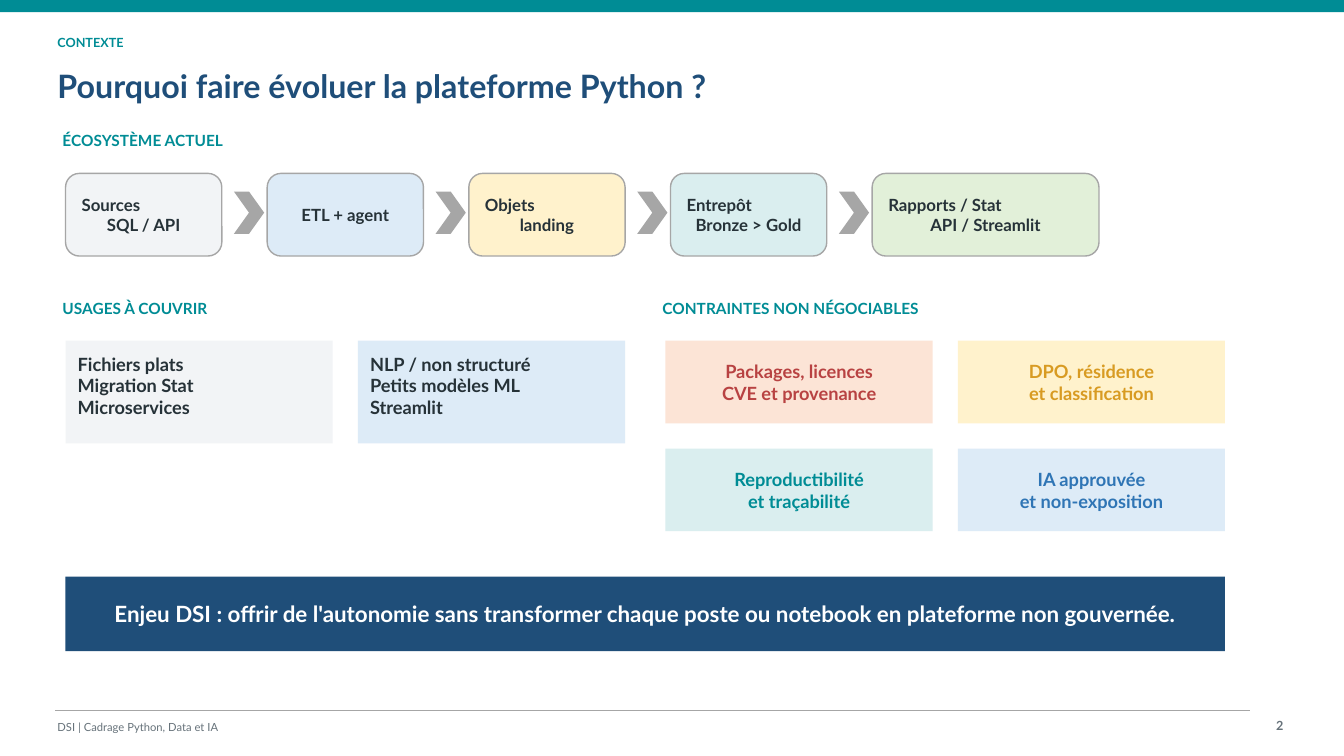
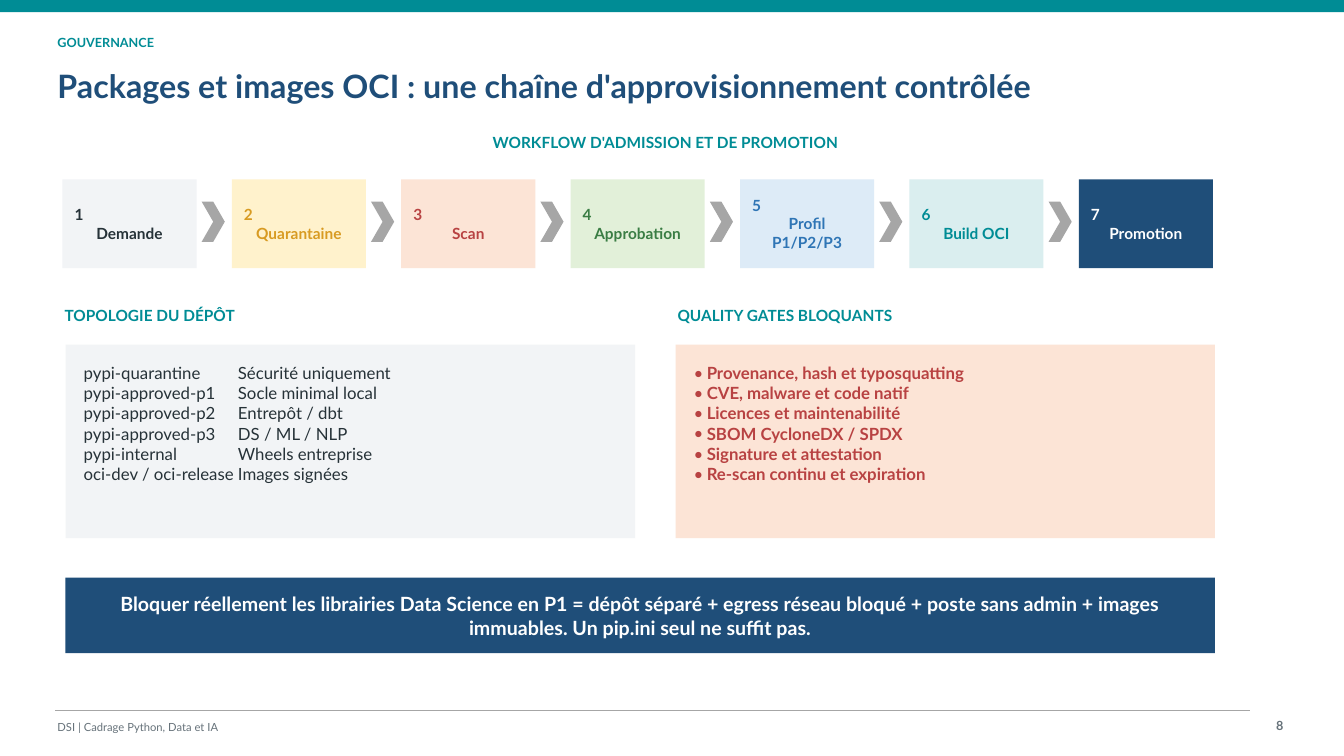
from dataclasses import dataclass
from typing import NamedTuple, Optional, Sequence

from lxml.etree import SubElement
from pptx import Presentation
from pptx.dml.color import RGBColor
from pptx.enum.shapes import MSO_CONNECTOR as Connector, MSO_SHAPE as Preset
from pptx.enum.text import MSO_ANCHOR as Anchor, MSO_AUTO_SIZE as AutoSize, PP_ALIGN as Align
from pptx.oxml.ns import qn
from pptx.slide import Slide
from pptx.text.text import TextFrame
from pptx.util import Emu, Pt

EMU_PER_PX = 9144
FONT = "Lato"
COLORS = {
    "teal": "008C95", "navy": "1F4E79", "ink": "263238", "muted": "66727A",
    "rule": "A6A6A6", "white": "FFFFFF", "red": "B84242", "amber": "D89B22",
    "green": "3A7D44", "blue": "2F75B5", "pale_gray": "F2F4F6",
    "pale_blue": "DDEBF7", "pale_yellow": "FFF2CC", "pale_teal": "DAEEEF",
    "pale_green": "E2F0D9", "pale_red": "FCE4D6",
}
TITLE_ONLY, TITLE_AND_CONTENT = 5, 1
LABEL_INSET, CARD_INSET, PANEL_INSET = 2, 12, 18


class Area(NamedTuple):
    left: int
    top: int
    width: int
    height: int


@dataclass(frozen=True)
class TextStyle:
    size: int
    color: str
    bold: bool = True
    align: Align = Align.LEFT
    anchor: Anchor = Anchor.MIDDLE
    inset: int = LABEL_INSET


@dataclass(frozen=True)
class Card:
    lines: tuple[str, ...]
    fill: str
    color: str = "ink"
    width: Optional[int] = None


@dataclass(frozen=True)
class Flow:
    first: Area
    pitch: int
    chevron: Area
    preset: Preset
    size: int
    outlined: bool = False


def px(length: int) -> Emu:
    return Emu(length * EMU_PER_PX)


def place(area: Area) -> tuple[Emu, ...]:
    return tuple(px(length) for length in area)


def rgb(color: str) -> RGBColor:
    return RGBColor.from_string(COLORS[color])


def write(frame: TextFrame, lines: Sequence[str], style: TextStyle,
          lead_left: bool = False, bulleted: bool = False, tab: int = 0) -> None:
    frame.word_wrap = True
    frame.auto_size = AutoSize.NONE
    frame.vertical_anchor = style.anchor
    frame.margin_left = frame.margin_right = px(style.inset)
    frame.margin_top = frame.margin_bottom = px(style.inset)
    for index, line in enumerate(lines):
        paragraph = frame.paragraphs[0] if index == 0 else frame.add_paragraph()
        paragraph.text = line
        paragraph.alignment = Align.LEFT if lead_left and index == 0 else style.align
        paragraph.space_before = Pt(0)
        properties = paragraph._p.get_or_add_pPr()
        if bulleted:
            properties.set("marL", str(px(13)))
            properties.set("indent", str(-px(13)))
            SubElement(properties, qn("a:buFont"), typeface=FONT)
            SubElement(properties, qn("a:buChar"), char="•")
        if tab:
            stops = SubElement(properties, qn("a:tabLst"))
            SubElement(stops, qn("a:tab"), pos=str(px(tab)), algn="l")
        paragraph.font.name = FONT
        paragraph.font.size = Pt(style.size)
        paragraph.font.bold = style.bold
        paragraph.font.color.rgb = rgb(style.color)


def add_label(slide: Slide, area: Area, text: str, style: TextStyle) -> None:
    write(slide.shapes.add_textbox(*place(area)).text_frame, [text], style)


def add_heading(slide: Slide, area: Area, text: str, align: Align = Align.LEFT) -> None:
    add_label(slide, area, text, TextStyle(11, "teal", align=align, anchor=Anchor.TOP))


def add_block(slide: Slide, area: Area, fill: str, preset: Preset = Preset.RECTANGLE,
              outlined: bool = False) -> TextFrame:
    block = slide.shapes.add_shape(preset, *place(area))
    block.shadow.inherit = False
    block.fill.solid()
    block.fill.fore_color.rgb = rgb(fill)
    if outlined:
        block.line.color.rgb = rgb("rule")
        block.line.width = Pt(1)
    else:
        block.line.fill.background()
    return block.text_frame


def add_flow(slide: Slide, flow: Flow, steps: Sequence[Card]) -> None:
    style = TextStyle(flow.size, "ink", align=Align.CENTER, inset=CARD_INSET)
    for index, step in enumerate(steps):
        shift = index * flow.pitch
        area = flow.first._replace(left=flow.first.left + shift,
                                   width=step.width or flow.first.width)
        frame = add_block(slide, area, step.fill, flow.preset, flow.outlined)
        step_style = TextStyle(style.size, step.color, align=style.align, inset=style.inset)
        write(frame, step.lines, step_style, lead_left=len(step.lines) > 1)
        if index < len(steps) - 1:
            chevron = flow.chevron._replace(left=flow.chevron.left + shift)
            add_block(slide, chevron, "rule", Preset.CHEVRON)


def add_cards(slide: Slide, first: Area, cards: Sequence[Card], align: Align,
              anchor: Anchor) -> None:
    gap, columns = 25, 2
    for index, card in enumerate(cards):
        row, column = divmod(index, columns)
        area = first._replace(left=first.left + column * (first.width + gap),
                              top=first.top + row * (first.height + gap))
        style = TextStyle(13, card.color, align=align, anchor=anchor, inset=CARD_INSET)
        write(add_block(slide, area, card.fill), card.lines, style)


def add_message(slide: Slide, area: Area, text: str, size: int) -> None:
    style = TextStyle(size, "white", align=Align.CENTER, inset=CARD_INSET)
    write(add_block(slide, area, "navy"), [text], style)


def add_page(deck: Presentation, layout: int, section: str, title: str, number: int) -> Slide:
    slide = deck.slides.add_slide(deck.slide_layouts[layout])
    add_block(slide, Area(0, 0, 1333, 12), "teal")
    add_label(slide, Area(55, 28, 220, 28), section, TextStyle(9, "teal"))
    heading = slide.shapes.title
    heading.left, heading.top, heading.width, heading.height = place(Area(55, 57, 1200, 55))
    write(heading.text_frame, [title], TextStyle(23, "navy"))
    rule = slide.shapes.add_connector(Connector.STRAIGHT, px(55), px(705), px(1240), px(705))
    rule.line.color.rgb = rgb("rule")
    rule.line.width = Pt(1)
    SubElement(rule._element.spPr, qn("a:effectLst"))
    add_label(slide, Area(55, 712, 550, 18), "DSI | Cadrage Python, Data et IA",
              TextStyle(8, "muted", bold=False))
    add_label(slide, Area(1225, 710, 50, 20), str(number),
              TextStyle(9, "muted", align=Align.RIGHT))
    return slide


def build_context(deck: Presentation) -> None:
    slide = add_page(deck, TITLE_ONLY, "CONTEXTE",
                     "Pourquoi faire évoluer la plateforme Python ?", 2)
    add_heading(slide, Area(60, 128, 590, 35), "ÉCOSYSTÈME ACTUEL")
    ecosystem = Flow(Area(65, 172, 155, 82), 200, Area(232, 190, 30, 42),
                     Preset.ROUNDED_RECTANGLE, 12, outlined=True)
    add_flow(slide, ecosystem, [
        Card(("Sources", "SQL / API"), "pale_gray"),
        Card(("ETL + agent",), "pale_blue"),
        Card(("Objets", "landing"), "pale_yellow"),
        Card(("Entrepôt", "Bronze > Gold"), "pale_teal"),
        Card(("Rapports / Stat", "API / Streamlit"), "pale_green", width=225),
    ])
    add_heading(slide, Area(60, 295, 460, 35), "USAGES À COUVRIR")
    add_cards(slide, Area(65, 338, 265, 102), [
        Card(("Fichiers plats", "Migration Stat", "Microservices"), "pale_gray"),
        Card(("NLP / non structuré", "Petits modèles ML", "Streamlit"), "pale_blue"),
    ], Align.LEFT, Anchor.TOP)
    add_heading(slide, Area(655, 295, 540, 35), "CONTRAINTES NON NÉGOCIABLES")
    add_cards(slide, Area(660, 338, 265, 82), [
        Card(("Packages, licences", "CVE et provenance"), "pale_red", "red"),
        Card(("DPO, résidence", "et classification"), "pale_yellow", "amber"),
        Card(("Reproductibilité", "et traçabilité"), "pale_teal", "teal"),
        Card(("IA approuvée", "et non-exposition"), "pale_blue", "blue"),
    ], Align.CENTER, Anchor.MIDDLE)
    add_message(slide, Area(65, 572, 1150, 74),
                "Enjeu DSI : offrir de l'autonomie sans transformer chaque poste "
                "ou notebook en plateforme non gouvernée.", 16)


def build_governance(deck: Presentation) -> None:
    slide = add_page(deck, TITLE_AND_CONTENT, "GOUVERNANCE",
                     "Packages et images OCI : une chaîne d'approvisionnement contrôlée", 8)
    add_heading(slide, Area(60, 130, 1200, 28), "WORKFLOW D'ADMISSION ET DE PROMOTION",
                Align.CENTER)
    workflow = Flow(Area(62, 178, 133, 88), 168, Area(200, 200, 23, 40),
                    Preset.RECTANGLE, 11)
    add_flow(slide, workflow, [
        Card(("1", "Demande"), "pale_gray"),
        Card(("2", "Quarantaine"), "pale_yellow", "amber"),
        Card(("3", "Scan"), "pale_red", "red"),
        Card(("4", "Approbation"), "pale_green", "green"),
        Card(("5", "Profil P1/P2/P3"), "pale_blue", "blue"),
        Card(("6", "Build OCI"), "pale_teal", "teal"),
        Card(("7", "Promotion"), "navy", "white"),
    ])
    add_heading(slide, Area(62, 302, 560, 30), "TOPOLOGIE DU DÉPÔT")
    repositories = [
        ("pypi-quarantine", "Sécurité uniquement"),
        ("pypi-approved-p1", "Socle minimal local"),
        ("pypi-approved-p2", "Entrepôt / dbt"),
        ("pypi-approved-p3", "DS / ML / NLP"),
        ("pypi-internal", "Wheels entreprise"),
        ("oci-dev / oci-release", "Images signées"),
    ]
    write(add_block(slide, Area(65, 342, 565, 192), "pale_gray"),
          ["\t".join(repository) for repository in repositories],
          TextStyle(12, "ink", bold=False, anchor=Anchor.TOP, inset=PANEL_INSET), tab=153)
    add_heading(slide, Area(670, 302, 530, 30), "QUALITY GATES BLOQUANTS")
    gates = slide.placeholders[1]
    gates.left, gates.top, gates.width, gates.height = place(Area(670, 342, 535, 192))
    gates.fill.solid()
    gates.fill.fore_color.rgb = rgb("pale_red")
    write(gates.text_frame, [
        "Provenance, hash et typosquatting",
        "CVE, malware et code natif",
        "Licences et maintenabilité",
        "SBOM CycloneDX / SPDX",
        "Signature et attestation",
        "Re-scan continu et expiration",
    ], TextStyle(12, "red", anchor=Anchor.TOP, inset=PANEL_INSET), bulleted=True)
    add_message(slide, Area(65, 573, 1140, 75),
                "Bloquer réellement les librairies Data Science en P1 = dépôt séparé + "
                "egress réseau bloqué + poste sans admin + images immuables. "
                "Un pip.ini seul ne suffit pas.", 14)


def main() -> None:
    deck = Presentation()
    deck.slide_width, deck.slide_height = px(1333), px(750)
    build_context(deck)
    build_governance(deck)
    deck.save("out.pptx")


if __name__ == "__main__":
    main()
